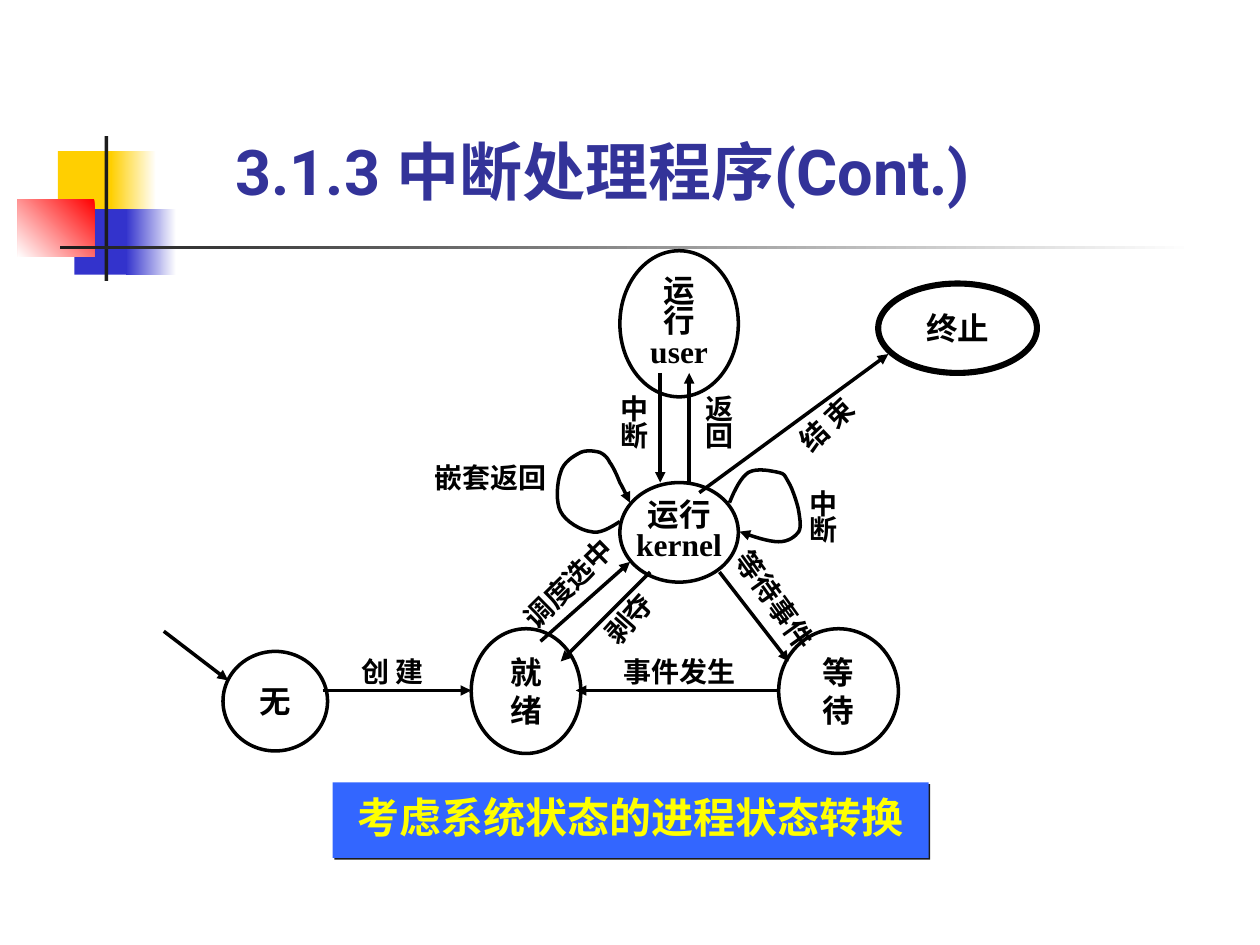
from dataclasses import dataclass
from typing import Optional

from lxml import etree
from pptx import Presentation
from pptx.dml.color import RGBColor
from pptx.enum.shapes import MSO_CONNECTOR, MSO_SHAPE
from pptx.enum.text import MSO_ANCHOR, PP_ALIGN
from pptx.oxml.ns import qn
from pptx.util import Emu, Inches, Pt

RECTANGLE, OVAL = MSO_SHAPE.RECTANGLE, MSO_SHAPE.OVAL
STRAIGHT = MSO_CONNECTOR.STRAIGHT
TOP, MIDDLE, BOTTOM = MSO_ANCHOR.TOP, MSO_ANCHOR.MIDDLE, MSO_ANCHOR.BOTTOM
LEFT, CENTER = PP_ALIGN.LEFT, PP_ALIGN.CENTER

WIDTH, HEIGHT = Inches(10), Inches(7.5)
COLUMN, ROW = WIDTH / 100, HEIGHT / 75
CURVE_STEPS = 8
COLORS = {
    "yellow": "FFCF01", "blue": "3333CC", "red": "FF0000", "white": "FFFFFF",
    "dark": "1C1C1C", "title": "333399", "ink": "000000",
    "banner": "3366FF", "banner_text": "FFFF00",
}


@dataclass
class Block:
    area: tuple
    color: str
    fade_to: Optional[str] = None
    angle: int = 180


@dataclass
class TextStyle:
    size: int
    color: str = "ink"
    font: str = "Times New Roman"
    align: PP_ALIGN = CENTER
    anchor: MSO_ANCHOR = MIDDLE
    spacing: float = 1.0
    margins: tuple = (0.1, 0.05)
    wrap: bool = True


@dataclass
class State:
    area: tuple
    lines: tuple
    spacing: float = 1.0
    wrap: bool = True
    weight: float = 2


@dataclass
class Label:
    area: tuple
    lines: tuple
    rotation: float = 0


BLOCKS = [
    Block((4.6, 12, 4.8, 5.2), "yellow"),
    Block((8.8, 12, 3.6, 5.2), "white", "yellow"),
    Block((5.9, 16.6, 4.6, 5.2), "blue"),
    Block((10, 16.6, 4, 5.2), "white", "blue"),
    Block((1.4, 15.8, 6.1, 4.6), "red", "white", 225),
    Block((8.3, 10.8, 0.3, 11.5), "dark"),
    Block((4.8, 19.5, 90, 0.3), "white", "dark"),
]
STATES = [
    State((17.7, 51.7, 8.3, 7.9), ("无",), wrap=False),
    State((69.7, 22.5, 12.6, 7.1), ("终止",), wrap=False, weight=3.5),
    State((49.2, 38.3, 9.4, 7.9), ("运行", "kernel"), 0.8, False),
    State((61.8, 49.9, 9.5, 9.9), ("等待",)),
    State((37.4, 49.9, 8.7, 9.9), ("就绪",)),
    State((49.2, 19.9, 9.4, 11.6), ("运行", "user"), 0.8),
]
ARROWS = [
    (25.6, 54.8, 37.4, 54.8), (61.8, 54.8, 45.7, 54.8),
    (42.9, 50.9, 50, 44.6), (51.6, 45.4, 44.5, 52.5),
    (57.1, 45.4, 62.6, 52.5), (13, 50.1, 18.1, 54),
    (55.5, 39.1, 70.5, 28.1), (52.4, 29.6, 52.4, 38.3),
    (54.7, 38.3, 54.7, 29.6),
]
LABELS = [
    Label((28, 52.5, 6.3, 2.1), ("创 建",)),
    Label((49.2, 52.5, 9.5, 2.1), ("事件发生",)),
    Label((40.5, 45.4, 9.5, 2.1), ("调度选中",), 315.3),
    Label((56.6, 46.7, 9.5, 2.1), ("等待事件",), 54.4),
    Label((34.2, 37.1, 9.5, 2.1), ("嵌套返回",)),
    Label((48.4, 31.6, 3.9, 4.3), ("中", "断")),
    Label((55.5, 31.6, 3.2, 4.3), ("返", "回")),
    Label((62.6, 32.8, 6.3, 2.1), ("结 束",), 316.4),
    Label((63.4, 39.1, 3.9, 4.3), ("中", "断")),
    Label((46.9, 48.2, 6.3, 2.1), ("剥夺",), 311.6),
]
LOOPS = [
    [(57.9, 39.9), (58.3, 38.9), (58.8, 37.9), (59.4, 37.5),
     (60.1, 37.1), (61.3, 37.4), (61.8, 37.5),
     (62.3, 37.6), (62.3, 37.8), (62.6, 38.3),
     (62.9, 38.8), (63.3, 40), (63.4, 40.6),
     (63.5, 41.3), (63.6, 41.8), (63.4, 42.2),
     (63.1, 42.6), (62.6, 43), (61.8, 43),
     (61, 43), (59.8, 42.6), (58.7, 42.2)],
    [(49.2, 41.4), (48.4, 41.9), (47.6, 42.4), (46.9, 42.2),
     (46.1, 42.1), (44.9, 41.4), (44.5, 40.6),
     (44.1, 39.9), (44.2, 38.3), (44.5, 37.5),
     (44.7, 36.7), (45.5, 36.2), (46.1, 35.9),
     (46.6, 35.7), (47.2, 35.8), (47.6, 35.9),
     (48, 36.1), (48.2, 36.3), (48.4, 36.7),
     (48.7, 37.1), (49, 37.8), (49.2, 38.3),
     (49.5, 38.8), (49.7, 39.3), (50, 39.9)],
]


def rgb(name: str) -> RGBColor:
    return RGBColor.from_string(COLORS[name])


def grid(*values: float) -> list:
    return [Emu(round(value * (ROW if index % 2 else COLUMN)))
            for index, value in enumerate(values)]


def apply(target, values: dict) -> None:
    for name, value in values.items():
        setattr(target, name, value)


def write(box, lines: tuple, style: TextStyle) -> None:
    frame = box.text_frame
    across, down = map(Inches, style.margins)
    apply(frame, {"margin_left": across, "margin_right": across,
                  "margin_top": down, "margin_bottom": down,
                  "vertical_anchor": style.anchor, "word_wrap": style.wrap})
    for index, line in enumerate(lines):
        para = frame.add_paragraph() if index else frame.paragraphs[0]
        apply(para, {"alignment": style.align, "line_spacing": style.spacing})
        span = para.add_run()
        span.text = line
        apply(span.font, {"name": style.font, "size": Pt(style.size), "bold": True})
        span.font.color.rgb = rgb(style.color)


def outline(shape, weight: float = 2) -> None:
    shape.line.color.rgb = rgb("ink")
    shape.line.width = Pt(weight)


def point_arrow(shape) -> None:
    line = shape._element.spPr.find(qn("a:ln"))
    etree.SubElement(line, qn("a:tailEnd"), type="triangle")


def draw_block(page, block: Block):
    shape = page.shapes.add_shape(RECTANGLE, *grid(*block.area))
    shape.shadow.inherit = False
    shape.line.fill.background()
    if block.fade_to:
        shape.fill.gradient()
        shape.fill.gradient_angle = block.angle
        for stop, name, position in zip(
                shape.fill.gradient_stops, (block.color, block.fade_to), (0, 1)):
            stop.color.rgb = rgb(name)
            stop.position = position
    else:
        shape.fill.solid()
        shape.fill.fore_color.rgb = rgb(block.color)
    return shape


def draw_state(page, state: State) -> None:
    shape = page.shapes.add_shape(OVAL, *grid(*state.area))
    shape.shadow.inherit = False
    shape.fill.background()
    outline(shape, state.weight)
    write(shape, state.lines, TextStyle(18, spacing=state.spacing, wrap=state.wrap))


def draw_label(page, label: Label, style: TextStyle) -> None:
    box = page.shapes.add_textbox(*grid(*label.area))
    box.rotation = label.rotation
    write(box, label.lines, style)


def draw_arrow(page, ends: tuple) -> None:
    arrow = page.shapes.add_connector(STRAIGHT, *grid(*ends))
    outline(arrow)
    point_arrow(arrow)
    etree.SubElement(arrow._element.spPr, qn("a:effectLst"))


def curve_point(controls: list, share: float) -> tuple:
    rest = 1 - share
    weights = (rest ** 3, 3 * rest ** 2 * share, 3 * rest * share ** 2, share ** 3)
    return tuple(sum(weight * value for weight, value in zip(weights, axis))
                 for axis in zip(*controls))


def draw_loop(page, points: list) -> None:
    vertices = [grid(*curve_point(points[first:first + 4], step / CURVE_STEPS))
                for first in range(0, len(points) - 1, 3)
                for step in range(1, CURVE_STEPS + 1)]
    builder = page.shapes.build_freeform(*grid(*points[0]))
    builder.add_line_segments(vertices, close=False)
    loop = builder.convert_to_shape()
    loop.shadow.inherit = False
    loop.fill.background()
    outline(loop)
    point_arrow(loop)


def draw_banner(page) -> None:
    banner = draw_block(page, Block((26.4, 62.1, 47.3, 6), "banner"))
    effects = banner._element.spPr.find(qn("a:effectLst"))
    shadow = etree.SubElement(effects, qn("a:outerShdw"), blurRad="0",
                              dist=str(Pt(1.4)), dir="2700000", algn="ctr", rotWithShape="0")
    etree.SubElement(shadow, qn("a:srgbClr"), val=COLORS["dark"])
    write(banner, ("考虑系统状态的进程状态转换",),
          TextStyle(24, "banner_text", anchor=TOP, spacing=0.9, margins=(0.12, 0.12)))


def main() -> None:
    deck = Presentation()
    apply(deck, {"slide_width": WIDTH, "slide_height": HEIGHT})
    page = deck.slides.add_slide(deck.slide_layouts[6])
    for block in BLOCKS:
        draw_block(page, block)
    draw_label(page, Label((17.7, 10, 64.6, 7), ("3.1.3 中断处理程序(Cont.)",)),
               TextStyle(36, "title", "Roboto", LEFT, BOTTOM))
    for state in STATES:
        draw_state(page, state)
    for ends in ARROWS:
        draw_arrow(page, ends)
    for label in LABELS:
        draw_label(page, label, TextStyle(16, anchor=TOP, spacing=0.8, margins=(0, 0)))
    draw_banner(page)
    for points in LOOPS:
        draw_loop(page, points)
    deck.save("out.pptx")


if __name__ == "__main__":
    main()
